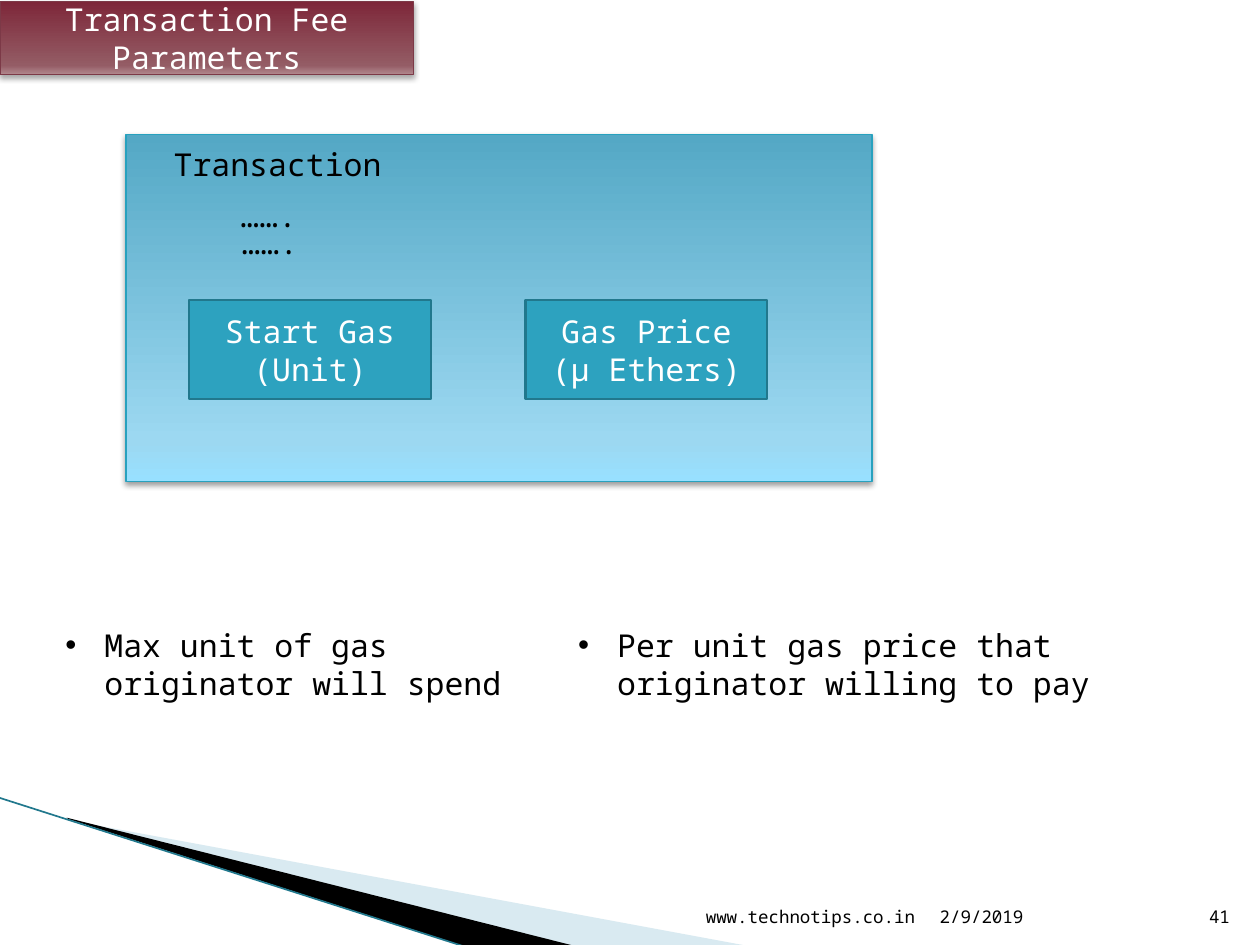
from copy import deepcopy

from lxml import etree
from pptx import Presentation
from pptx import util as u
from pptx.dml.color import RGBColor
from pptx.enum import shapes, text
from pptx.oxml.ns import qn

FONT = "Noto Sans Mono"
BLACK = RGBColor(0x00, 0x00, 0x00)
WHITE = RGBColor(0xFF, 0xFF, 0xFF)
PALE_BLUE = RGBColor(0xA0, 0xCB, 0xDC)
TEAL = RGBColor(0x2D, 0xA2, 0xBF)
DARK_TEAL = RGBColor(0x21, 0x78, 0x8D)
PANEL_LINE = RGBColor(0x28, 0xA1, 0xBE)
TITLE_LINE = RGBColor(0x7C, 0x39, 0x47)
TITLE_STOPS = (
    (0, RGBColor(0xB0, 0x86, 0x8C)),
    (0.12, RGBColor(0x94, 0x5C, 0x65)),
    (1, RGBColor(0x7D, 0x27, 0x39)),
)
PANEL_STOPS = (
    (0, RGBColor(0x98, 0xE0, 0xFF)),
    (0.12, RGBColor(0x9C, 0xD8, 0xF1)),
    (1, RGBColor(0x54, 0xA8, 0xC5)),
)
ALIGN = text.PP_ALIGN
ANCHOR = text.MSO_ANCHOR


def set_alpha(color, percent):
    etree.SubElement(color, qn("a:alpha")).set("val", str(percent * 1000))


def set_gradient(fill, stops, props):
    fill.gradient()
    fill.gradient_angle = 90
    gs = props.find(qn("a:gradFill")).find(qn("a:gsLst"))
    gs.insert(1, deepcopy(gs[0]))
    for stop, (position, color) in zip(fill.gradient_stops, stops):
        stop.position = position
        stop.color.rgb = color


def add_shadow(sp, opacity, blur, distance):
    effects = sp._element.spPr.find(qn("a:effectLst"))
    shadow = etree.SubElement(effects, qn("a:outerShdw"))
    shadow.set("blurRad", str(int(u.Pt(blur))))
    shadow.set("dist", str(int(u.Pt(distance))))
    shadow.set("dir", "5400000")
    shadow.set("rotWithShape", "0")
    color = etree.SubElement(shadow, qn("a:srgbClr"))
    color.set("val", str(BLACK))
    set_alpha(color, opacity)


def add_bullet(p):
    props = p._p.get_or_add_pPr()
    props.set("marL", str(int(u.Inches(0.31))))
    props.set("indent", str(-int(u.Inches(0.31))))
    etree.SubElement(props, qn("a:buFont")).set("typeface", "Arial")
    etree.SubElement(props, qn("a:buChar")).set("char", "•")


def write(tf, lines, color=BLACK, size=18, align=ALIGN.LEFT, bullet=False):
    tf.word_wrap = True
    for i, line in enumerate(lines):
        p = tf.paragraphs[0] if i == 0 else tf.add_paragraph()
        p.text = line
        p.alignment = align
        if bullet:
            add_bullet(p)
        p.font.name = FONT
        p.font.size = u.Pt(size)
        p.font.color.rgb = color


def add_box(s, bounds, fill, line, width, lines=()):
    sp = s.shapes.add_shape(shapes.MSO_SHAPE.RECTANGLE, *map(u.Inches, bounds))
    sp.shadow.inherit = False
    if isinstance(fill, RGBColor):
        sp.fill.solid()
        sp.fill.fore_color.rgb = fill
    else:
        set_gradient(sp.fill, fill, sp._element.spPr)
    sp.line.color.rgb = line
    sp.line.width = u.Pt(width)
    sp.text_frame.vertical_anchor = ANCHOR.MIDDLE
    write(sp.text_frame, lines, WHITE, align=ALIGN.CENTER)
    return sp


def add_label(s, bounds, line, bullet=False):
    tf = s.shapes.add_textbox(*map(u.Inches, bounds)).text_frame
    write(tf, [line], bullet=bullet)
    tf.auto_size = text.MSO_AUTO_SIZE.SHAPE_TO_FIT_TEXT


def add_footer(s, left, width, line, align):
    box = s.shapes.add_textbox(*map(u.Inches, (left, 7.01, width, 0.4)))
    box.text_frame.vertical_anchor = ANCHOR.BOTTOM
    write(box.text_frame, [line], size=10, align=align)


def add_wedge(s, points, color, opacity=100):
    units = [(round(x * 100), round(y * 100)) for x, y in points]
    builder = s.shapes.build_freeform(*units[0], scale=u.Inches(0.01))
    builder.add_line_segments(units[1:], close=True)
    sp = builder.convert_to_shape()
    sp.shadow.inherit = False
    sp.fill.solid()
    sp.fill.fore_color.rgb = color
    sp.line.fill.background()
    if opacity < 100:
        fill = sp._element.spPr.find(qn("a:solidFill"))
        set_alpha(fill[0], opacity)


def add_corner(s):
    add_wedge(s, [(0.55, 6.51), (5.95, 7.51), (4.56, 7.51), (0.55, 6.5)], PALE_BLUE, 40)
    add_wedge(s, [(0.53, 6.49), (4.57, 7.51), (3.72, 7.52), (0.54, 6.5)], BLACK)
    ends = map(u.Inches, (-0.01, 6.33, 3.71, 7.52))
    edge = s.shapes.add_connector(shapes.MSO_CONNECTOR.STRAIGHT, *ends)
    edge.line.color.rgb = DARK_TEAL
    edge.line.width = u.Pt(0.95)
    etree.SubElement(edge._element.spPr, qn("a:effectLst"))


def main():
    prs = Presentation()
    prs.slide_width, prs.slide_height = u.Inches(10), u.Inches(7.5)
    s = prs.slides.add_slide(prs.slide_layouts[6])

    add_corner(s)
    title = add_box(s, (0, 0.01, 3.28, 0.58), TITLE_STOPS, TITLE_LINE, 0.75,
                    ["Transaction Fee Parameters"])
    add_shadow(title, 35, 3.1, 1.8)
    panel = add_box(s, (1, 1.07, 5.92, 2.75), PANEL_STOPS, PANEL_LINE, 0.75)
    add_shadow(panel, 38, 3.1, 1.6)

    for left, top, line in ((1.28, 1.1, "Transaction"),
                            (1.81, 1.51, "……."), (1.82, 1.72, "…….")):
        add_label(s, (left, top, 2.03, 0.4), line)
    for left, lines in ((1.5, ["Start Gas", "(Unit)"]),
                        (4.17, ["Gas Price", "(µ Ethers)"])):
        add_box(s, (left, 2.38, 1.92, 0.79), TEAL, DARK_TEAL, 1.25, lines)
    for left, width, line in (
        (4.49, 5.26, "Per unit gas price that originator willing to pay"),
        (0.42, 3.92, "Max unit of gas originator will spend"),
    ):
        add_label(s, (left, 4.92, width, 0.71), line, bullet=True)

    add_footer(s, 7.36, 2.1, "2/9/2019", ALIGN.LEFT)
    add_footer(s, 4.79, 2.57, "www.technotips.co.in", ALIGN.RIGHT)
    add_footer(s, 9.46, 0.4, "41", ALIGN.RIGHT)
    prs.save("out.pptx")


if __name__ == "__main__":
    main()
